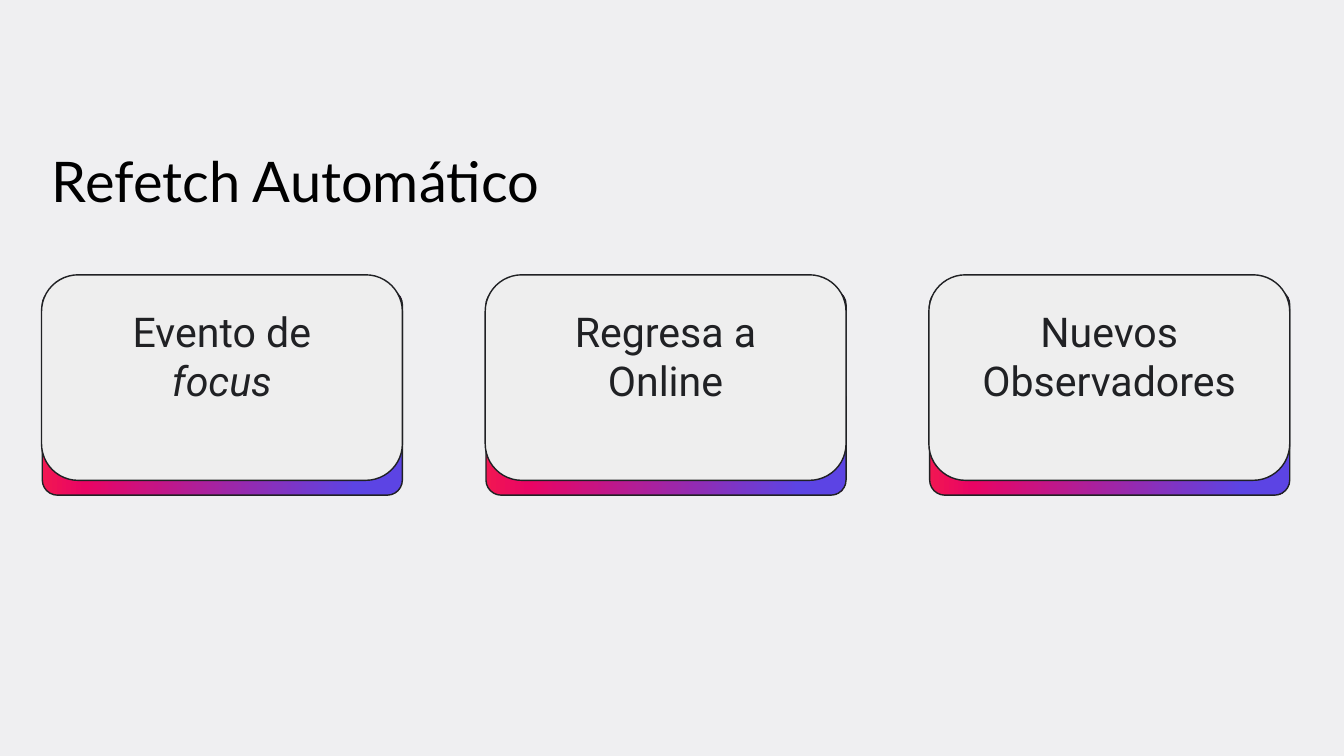
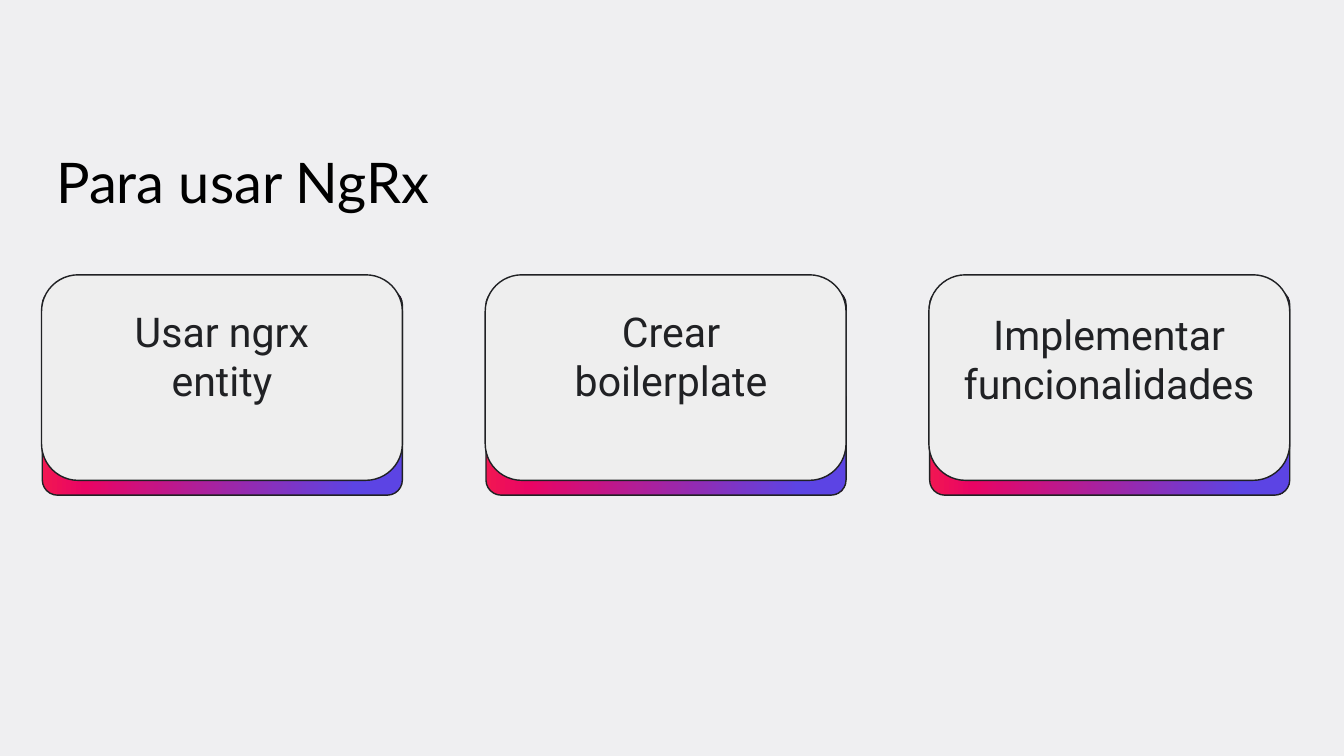
from lxml.etree import SubElement as Sub
from pptx import Presentation
from pptx.dml.color import RGBColor as Rgb
from pptx.enum.shapes import MSO_SHAPE as Shape
from pptx.enum.text import MSO_ANCHOR as Anchor, MSO_AUTO_SIZE as Fit, PP_ALIGN as Align
from pptx.oxml.ns import qn
from pptx.util import Cm, Pt

# Shared look
PAPER, CARD, INK, BLACK = "EFEFF1", "EEEEEE", "202124", "000000"
STOPS = [(0, "F11653"), (12, "E90464"), (87, "5C44E4"), (100, "5C44E4")]
HEAD, BODY = "Lato", "Roboto"

# Card grid, in cm
LEFT, TOP, WIDE, HIGH, STEP = 1.57, 10.39, 13.64, 7.77, 16.77


def tint(code):
    return Rgb.from_string(code)


def blend(fill):
    """Fill from left to right with the brand gradient."""
    fill.gradient()
    fill.gradient_angle = 0
    stops = fill._fill._gradFill.find(qn("a:gsLst"))
    for old in list(stops):
        stops.remove(old)
    for place, code in STOPS:
        stop = Sub(stops, qn("a:gs"), pos=str(place * 1000))
        Sub(stop, qn("a:srgbClr"), val=code)


def panel(slide, x, y, wide, curve):
    box = slide.shapes.add_shape(Shape.ROUNDED_RECTANGLE, Cm(x), Cm(y), Cm(wide), Cm(HIGH))
    box.adjustments[0] = curve
    box.shadow.inherit = False
    box.line.color.rgb = tint(INK)
    box.line.width = Pt(1.5)
    return box


def label(slide, x, y, wide, high, text, face, size, color, inset=0):
    """Add a text box and return its frame and paragraph."""
    frame = slide.shapes.add_textbox(Cm(x), Cm(y), Cm(wide), Cm(high)).text_frame
    frame.word_wrap = True
    frame.auto_size = Fit.SHAPE_TO_FIT_TEXT
    frame.margin_left = frame.margin_right = frame.margin_bottom = 0
    frame.margin_top = Cm(inset)
    para = frame.paragraphs[0]
    para.add_run().text = text
    para.font.name = face
    para.font.size = Pt(size)
    para.font.color.rgb = tint(color)
    return frame, para


def title(slide, text, x, y, wide):
    para = label(slide, x, y, wide, 2.06, text, HEAD, 60, BLACK)[1]
    para.line_spacing = 0.8


def card(slide, col, text, wide, slant="", dx=0, dy=0):
    x = LEFT + col * STEP
    # Gradient edge below, plain face on top
    blend(panel(slide, x + 0.03, TOP + 0.56, WIDE - 0.03, 0.074).fill)
    face = panel(slide, x, TOP, WIDE, 0.178)
    face.fill.solid()
    face.fill.fore_color.rgb = tint(CARD)
    # Caption centred on the card
    frame, para = label(slide, x + (WIDE - wide) / 2 + dx, TOP + 1.01 + dy,
                        wide, 3.91, text, BODY, 44, INK, 0.15)
    frame.vertical_anchor = Anchor.MIDDLE
    para.alignment = Align.CENTER
    if slant:
        run = para.add_run()
        run.text = slant
        run.font.italic = True


def page(deck, head, cards):
    slide = deck.slides.add_slide(deck.slide_layouts[6])
    slide.background.fill.solid()
    slide.background.fill.fore_color.rgb = tint(PAPER)
    title(slide, *head)
    for col, item in enumerate(cards):
        card(slide, col, **item)


def main():
    deck = Presentation()
    deck.slide_width, deck.slide_height = Cm(50.8), Cm(28.58)
    page(deck, ("Refetch Automático", 1.96, 6.02, 23.95), [
        dict(text="Evento de ", slant="focus", wide=7.34),
        dict(text="Regresa a Online", wide=7.34),
        dict(text="Nuevos Observadores", wide=10.54),
    ])
    page(deck, ("Para usar NgRx", 2.13, 6.05, 23.27), [
        dict(text="Usar ngrx entity", wide=7.34),
        dict(text="Crear boilerplate", wide=8.64, dx=0.21),
        dict(text="Implementar funcionalidades", wide=11.68, dy=0.13),
    ])
    deck.save("out.pptx")


if __name__ == "__main__":
    main()
